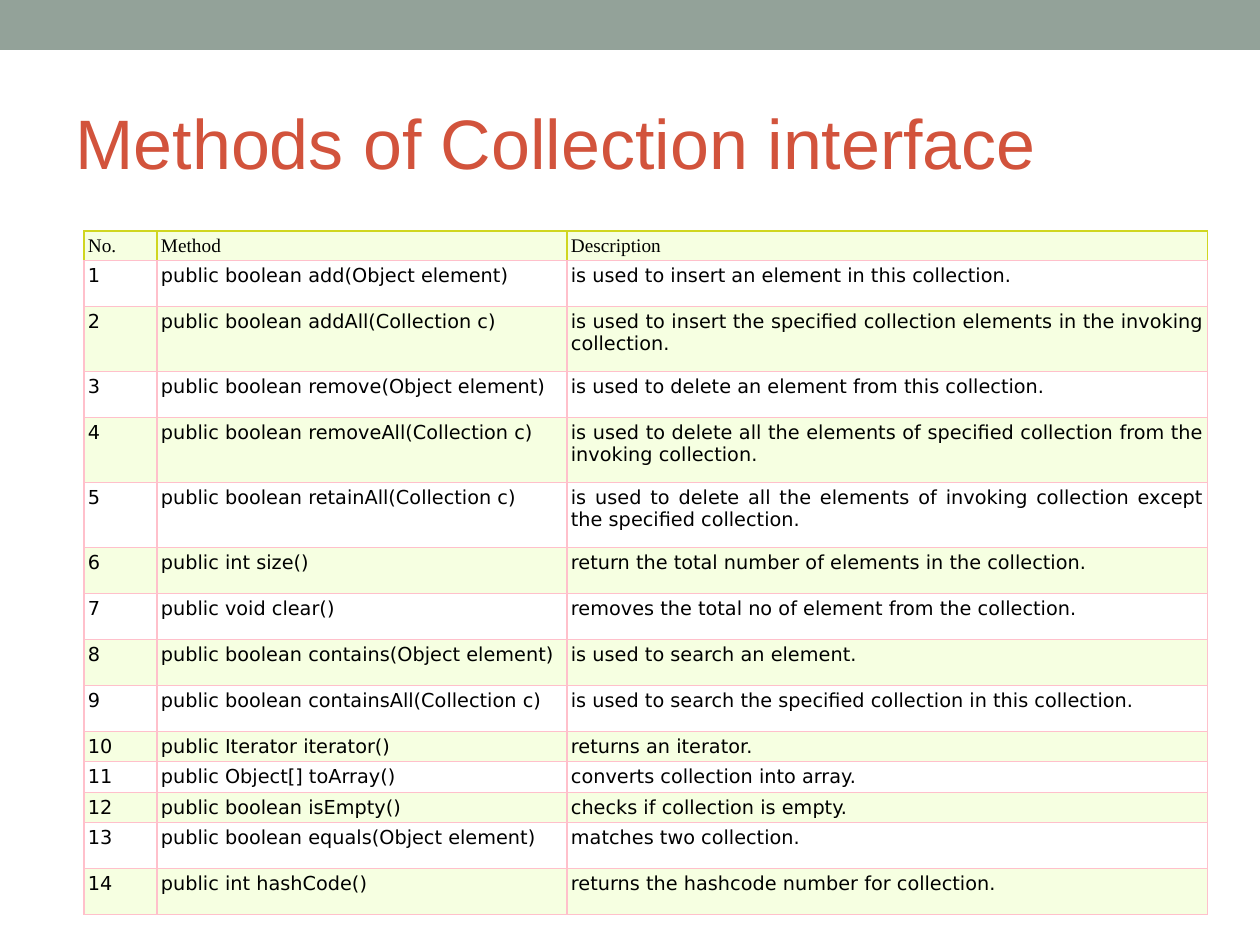
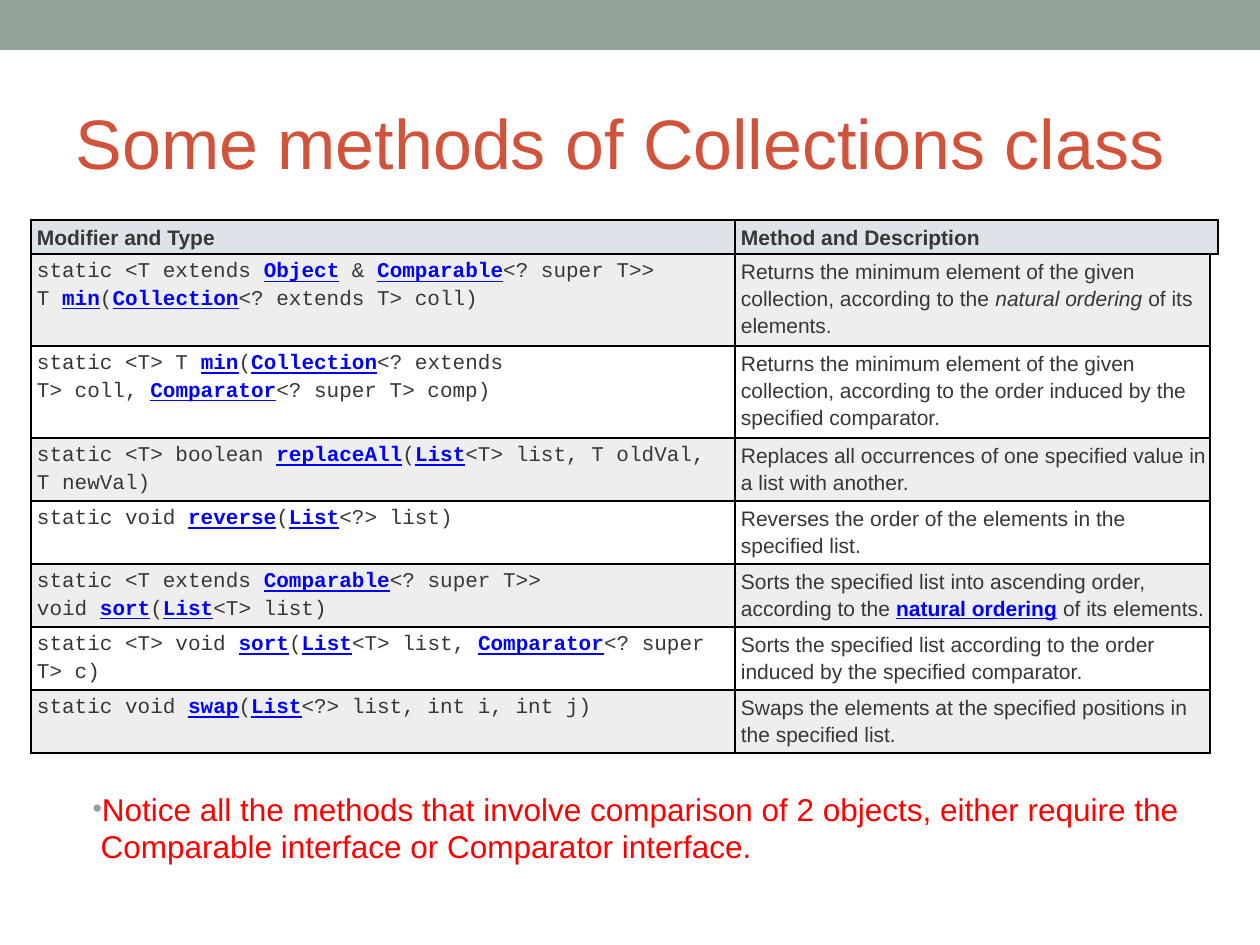
from lxml import etree
from pptx import Presentation
from pptx import util as u
from pptx.dml.color import RGBColor
from pptx.enum import shapes, text
from pptx.oxml.ns import qn

PX = u.Inches(1) / 126
BAND, TITLE, INK, LINK = "93A299", "D2533C", "353833", "0000FF"
LIME, YELLOW, PINK = "F6FFE1", "D0D620", "FFC0CB"
WHITE, GREY, HEADER, BLACK, RED = "FFFFFF", "EEEEEF", "DEE3E9", "000000", "FF0000"
NO_STYLE = "{2D5ABB26-0587-4C30-8999-92F81FD0307C}"
NBSP = chr(160)


def style(font, size, name, color, bold=False):
    font.size, font.name, font.bold = u.Pt(size), name, bold
    font.color.rgb = RGBColor.from_string(color)


def format_cell(cell, fill, borders, width, margins):
    """borders maps a side (L, R, T, B) to its colour."""
    properties = cell._tc.get_or_add_tcPr()
    for side in "LRTB":
        if side in borders:
            line = etree.SubElement(properties, qn("a:ln" + side), w=str(u.Pt(width)))
            solid = etree.SubElement(line, qn("a:solidFill"))
            etree.SubElement(solid, qn("a:srgbClr"), val=borders[side])
    if fill:
        cell.fill.solid()
        cell.fill.fore_color.rgb = RGBColor.from_string(fill)
    else:
        cell.fill.background()
    cell.margin_left, cell.margin_right, cell.margin_top, cell.margin_bottom = (
        round(margin * PX) for margin in margins)


presentation = Presentation()
presentation.slide_width, presentation.slide_height = u.Inches(10), u.Inches(7.5)

collection_methods = [
    ("No.", "Method", "Description"),
    ("1", "public boolean add(Object element)",
     "is used to insert an element in this collection."),
    ("2", "public boolean addAll(Collection c)",
     "is used to insert the specified collection elements in the invoking collection."),
    ("3", "public boolean remove(Object element)",
     "is used to delete an element from this collection."),
    ("4", "public boolean removeAll(Collection c)",
     "is used to delete all the elements of specified collection from the invoking collection."),
    ("5", "public boolean retainAll(Collection c)",
     "is used to delete all the elements of invoking collection except the specified collection."),
    ("6", "public int size()", "return the total number of elements in the collection."),
    ("7", "public void clear()", "removes the total no of element from the collection."),
    ("8", "public boolean contains(Object element)", "is used to search an element."),
    ("9", "public boolean containsAll(Collection c)",
     "is used to search the specified collection in this collection."),
    ("10", "public Iterator iterator()", "returns an iterator."),
    ("11", "public Object[] toArray()", "converts collection into array."),
    ("12", "public boolean isEmpty()", "checks if collection is empty."),
    ("13", "public boolean equals(Object element)", "matches two collection."),
    ("14", "public int hashCode()", "returns the hashcode number for collection."),
]

# Markup: *link*, *_italic*, ~ for a non-breaking space
class_methods = [
    ("Modifier and Type", "Method and Description"),
    ("static <T extends~*Object*~&~*Comparable*<? super T>>~\n"
     "T *min*(*Collection*<? extends T>~coll)",
     "Returns the minimum element of the given collection, according to the~"
     "*_natural ordering*~of its elements."),
    ("static <T>~T *min*(*Collection*<? extends T>~coll,~*Comparator*<? super T>~comp)",
     "Returns the minimum element of the given collection, according to the order "
     "induced by the specified comparator."),
    ("static <T>~boolean *replaceAll*(*List*<T>~list, T~oldVal, T~newVal)",
     "Replaces all occurrences of one specified value in a list with another."),
    ("static void *reverse*(*List*<?>~list)",
     "Reverses the order of the elements in the specified list."),
    ("static <T extends~*Comparable*<? super T>>~\nvoid *sort*(*List*<T>~list)",
     "Sorts the specified list into ascending order, according to the~"
     "*natural ordering*~of its elements."),
    ("static <T>~void *sort*(*List*<T>~list,~*Comparator*<? super T>~c)",
     "Sorts the specified list according to the order induced by the specified comparator."),
    ("static void *swap*(*List*<?>~list, int~i, int~j)",
     "Swaps the elements at the specified positions in the specified list."),
]

# Shared parts: band, title and an unstyled table
# title, layout, table left and top, column widths, row heights
pages = [
    ("Methods of Collection interface", 5, 84, 231, [73, 410, 641],
     [29, 46, 65, 46, 65, 65, 46, 46, 46, 46, 29, 30, 29, 46, 46]),
    ("Some methods of Collections class", 1, 31, 220, [704, 475, 8],
     [34, 92, 92] + [63] * 5),
]
slides, tables = [], []
for heading, layout, left, top, widths, heights in pages:
    slide = presentation.slides.add_slide(presentation.slide_layouts[layout])
    slides.append(slide)

    band = slide.shapes.add_shape(shapes.MSO_SHAPE.RECTANGLE, 0, 0,
                                  presentation.slide_width, round(50 * PX))
    band.shadow.inherit = False
    band.fill.solid()
    band.fill.fore_color.rgb = RGBColor.from_string(BAND)
    band.line.fill.background()

    title = slide.shapes.title
    title.left, title.top, title.width, title.height = (
        round(length * PX) for length in (63, 73, 1134, 136))
    frame = title.text_frame
    frame.text = heading
    frame.auto_size = text.MSO_AUTO_SIZE.NONE
    frame.vertical_anchor = text.MSO_ANCHOR.MIDDLE
    frame.paragraphs[0].alignment = text.PP_ALIGN.LEFT
    style(frame.paragraphs[0].runs[0].font, 40, "Arial", TITLE)

    table_shape = slide.shapes.add_table(
        len(heights), len(widths),
        *(round(length * PX) for length in (left, top, sum(widths), sum(heights))))
    table_shape.element.xpath(".//a:tableStyleId")[0].text = NO_STYLE
    table = table_shape.table
    table.first_row = table.horz_banding = False
    for column, width in zip(table.columns, widths):
        column.width = round(width * PX)
    for row, height in zip(table.rows, heights):
        row.height = round(height * PX)
    tables.append(table)

# Slide 1: methods of the Collection interface
for i, values in enumerate(collection_methods):
    borders = dict.fromkeys("LRT", PINK if i else YELLOW) | {"B": PINK}
    for j, value in enumerate(values):
        cell = tables[0].cell(i, j)
        format_cell(cell, WHITE if i % 2 else LIME, borders, 0.75, (4, 4, 4, 4))
        cell.text_frame.text = value
        paragraph = cell.text_frame.paragraphs[0]
        if i:
            paragraph.alignment = text.PP_ALIGN.JUSTIFY
        style(paragraph.runs[0].font, 11, "DejaVu Sans" if i else "Times New Roman", BLACK)

# Slide 2: methods of the Collections class
for i, values in enumerate(class_methods):
    fill = (GREY if i % 2 else WHITE) if i else HEADER
    for j, value in enumerate(values):
        cell = tables[1].cell(i, j)
        format_cell(cell, fill, dict.fromkeys("LRTB", BLACK), 1, (6, 3, 3, 3))
        paragraph = cell.text_frame.paragraphs[0]
        paragraph.line_spacing, paragraph.space_after = 1.15, u.Pt(9)
        name = "Courier New" if i and j == 0 else "Arial"
        for k, piece in enumerate(value.replace("~", NBSP).split("*")):
            italic = piece.startswith("_")
            linked = k % 2 == 1 and not italic
            for n, part in enumerate(piece.lstrip("_").split("\n")):
                if n:
                    paragraph.add_line_break()
                run = paragraph.add_run()
                run.text = part
                style(run.font, 12, name, LINK if linked else INK, linked or i == 0)
                run.font.underline, run.font.italic = linked, italic

    # Narrow last column, joined to the description in the header row
    edge = tables[1].cell(i, 2)
    format_cell(edge, None if i else HEADER,
                dict.fromkeys("L" if i else "RT", BLACK), 1, (0, 0, 0, 0))
    etree.SubElement(edge.text_frame.paragraphs[0]._p, qn("a:endParaRPr"), sz="1200")
tables[1].cell(0, 1).merge(tables[1].cell(0, 2))

# Slide 2: closing remark
body = slides[1].placeholders[1]
body.left, body.top, body.width, body.height = (
    round(length * PX) for length in (63, 777, 1134, 116))
frame = body.text_frame
frame.text = ("Notice all the methods that involve comparison of 2 objects, either require the "
              "Comparable interface or Comparator interface.")
frame.auto_size = text.MSO_AUTO_SIZE.NONE
frame.margin_top = frame.margin_bottom = u.Inches(0.1)
paragraph = frame.paragraphs[0]
properties = paragraph._p.get_or_add_pPr()
properties.set("marL", str(round(25 * PX)))
properties.set("indent", str(round(-8 * PX)))
bullet_color = etree.SubElement(properties, qn("a:buClr"))
etree.SubElement(bullet_color, qn("a:srgbClr"), val=BAND)
etree.SubElement(properties, qn("a:buSzPct"), val="85000")
etree.SubElement(properties, qn("a:buChar"), char="•")
paragraph.space_before = u.Pt(0)
style(paragraph.runs[0].font, 18, "Arial", RED)

presentation.save("out.pptx")
